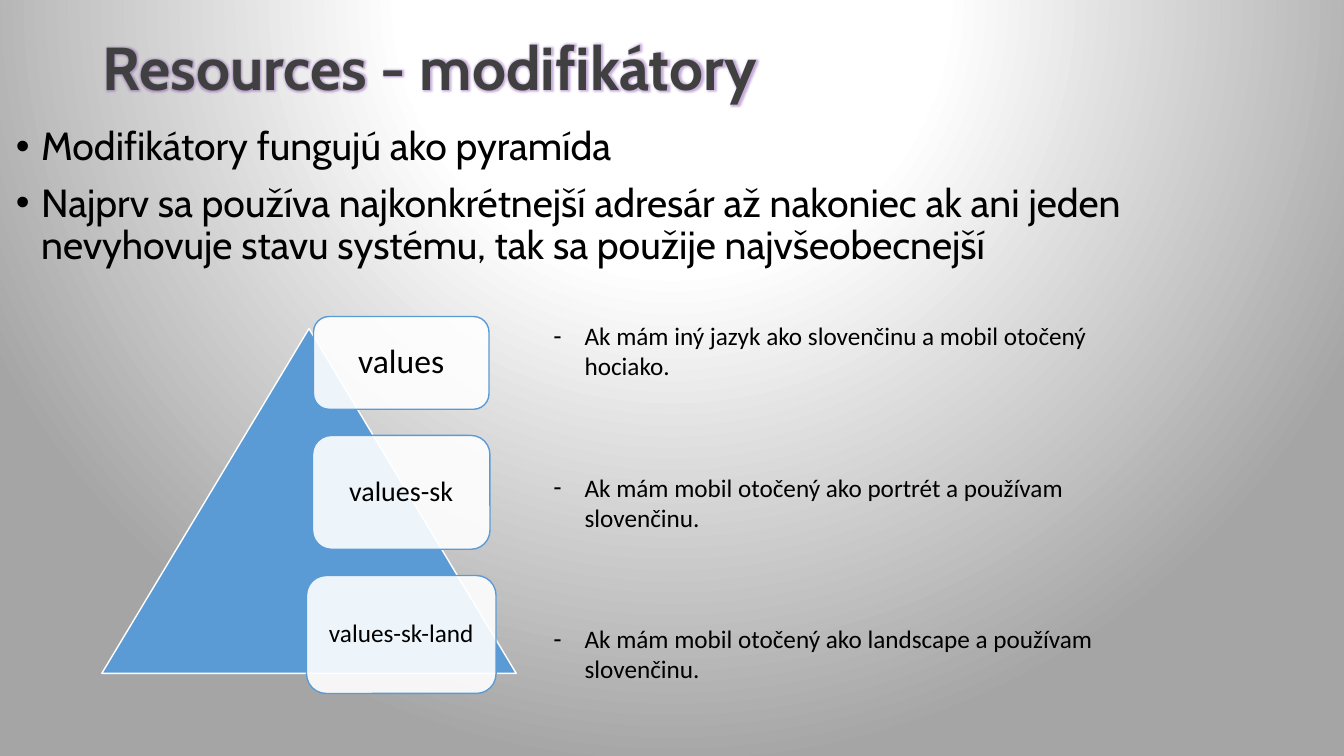
from pptx import Presentation
from pptx.dml.color import RGBColor
from pptx.enum.shapes import MSO_SHAPE
from pptx.enum.text import MSO_ANCHOR, PP_ALIGN
from pptx.oxml import parse_xml
from pptx.oxml.ns import nsdecls, qn
from pptx.util import Inches, Pt

TRIANGLE, ROUNDED = MSO_SHAPE.ISOSCELES_TRIANGLE, MSO_SHAPE.ROUNDED_RECTANGLE
TOP, MIDDLE = MSO_ANCHOR.TOP, MSO_ANCHOR.MIDDLE
LEFT, CENTER = PP_ALIGN.LEFT, PP_ALIGN.CENTER

BLACK = RGBColor(0, 0, 0)
WHITE = RGBColor(255, 255, 255)
DARK = RGBColor(0x40, 0x40, 0x40)
BLUE = RGBColor(0x5B, 0x9B, 0xD5)
GREY = RGBColor(0xA5, 0xA5, 0xA5)
PURPLE = RGBColor(0x70, 0x30, 0xA0)

RULES = [
    "Modifikátory fungujú ako pyramída",
    "Najprv sa používa najkonkrétnejší adresár až nakoniec ak ani jeden "
    "nevyhovuje stavu systému, tak sa použije najvšeobecnejší",
]
LEVELS = [
    ("values", 24, (3.11, 3.14, 1.74, 0.92)),
    ("values-sk", 20, (3.1, 4.32, 1.76, 1.13)),
    ("values-sk-land", 18, (3.04, 5.71, 1.88, 1.17)),
]
NOTES = [
    "Ak mám iný jazyk ako slovenčinu a mobil otočený hociako.",
    "Ak mám mobil otočený ako portrét a používam slovenčinu.",
    "Ak mám mobil otočený ako landscape a používam slovenčinu.",
]


def set_background(s):
    """Fill the slide with a circular gradient from white to grey."""
    stops = "".join(
        f'<a:gs pos="{pos}"><a:srgbClr val="{color}"/></a:gs>'
        for pos, color in ((0, WHITE), (35000, WHITE), (100000, GREY)))
    s._element.cSld.insert(0, parse_xml(
        f'<p:bg {nsdecls("p", "a")}><p:bgPr><a:gradFill rotWithShape="1">'
        f'<a:gsLst>{stops}</a:gsLst><a:path path="circle">'
        '<a:fillToRect l="50000" t="-80000" r="50000" b="180000"/></a:path>'
        '</a:gradFill><a:effectLst/></p:bgPr></p:bg>'))


def add_bullet(p, char, indent):
    """Give a paragraph a hanging bullet."""
    pPr = p._p.get_or_add_pPr()
    pPr.set("marL", str(Inches(indent)))
    pPr.set("indent", str(Inches(-indent)))
    pPr.append(parse_xml(f'<a:buFont {nsdecls("a")} typeface="Arial"/>'))
    pPr.append(parse_xml(f'<a:buChar {nsdecls("a")} char="{char}"/>'))


def add_glow(r, color):
    """Surround a run with a soft glow."""
    r._r.rPr.find(qn("a:solidFill")).addnext(parse_xml(
        f'<a:effectLst {nsdecls("a")}><a:glow rad="{Pt(4)}">'
        f'<a:srgbClr val="{color}"><a:alpha val="40000"/></a:srgbClr>'
        '</a:glow></a:effectLst>'))


def write(tf, texts, size, font="Calibri", color=BLACK, bold=False, align=LEFT,
          anchor=TOP, spacing=1.0, before=0, gap=0, bullet=None, indent=0,
          glow=None):
    """Write formatted paragraphs into a text frame."""
    tf.word_wrap = True
    tf.vertical_anchor = anchor
    for i, text in enumerate(texts):
        p = tf.add_paragraph() if i else tf.paragraphs[0]
        p.alignment = align
        p.line_spacing = spacing
        p.space_before = Pt(gap if i else before)
        if bullet:
            add_bullet(p, bullet, indent)
        r = p.add_run()
        r.text = text
        r.font.name = font
        r.font.size = Pt(size)
        r.font.bold = bold
        r.font.color.rgb = color
        if glow:
            add_glow(r, glow)


def add_text(s, box, texts, size, **fmt):
    """Add a text box with formatted paragraphs."""
    tb = s.shapes.add_textbox(*map(Inches, box))
    write(tb.text_frame, texts, size, **fmt)


def add_figure(s, kind, box, fill, line, opacity=100):
    """Add a preset shape with a thin outline."""
    sp = s.shapes.add_shape(kind, *map(Inches, box))
    sp.shadow.inherit = False
    sp.fill.solid()
    sp.fill.fore_color.rgb = fill
    sp.line.color.rgb = line
    sp.line.width = Pt(1)
    if opacity < 100:
        clr = sp._element.spPr.find(qn("a:solidFill")).find(qn("a:srgbClr"))
        clr.append(parse_xml(
            f'<a:alpha {nsdecls("a")} val="{opacity * 1000}"/>'))
    return sp


def main():
    """Build the slide and save it."""
    prs = Presentation()
    prs.slide_width, prs.slide_height = Inches(13.33), Inches(7.5)
    s = prs.slides.add_slide(prs.slide_layouts[6])
    set_background(s)
    add_text(s, (0.92, 0.4, 11.5, 0.61), ["Resources - modifikátory"], 43.2,
             font="Cabin", color=DARK, bold=True, anchor=MIDDLE, spacing=0.9,
             glow=PURPLE)
    add_text(s, (0.06, 1.21, 13.13, 5.89), RULES, 28, font="Cabin",
             spacing=0.9, before=10, gap=10, bullet="•", indent=0.25)
    add_figure(s, TRIANGLE, (1.01, 3.26, 4.11, 3.42), BLUE, WHITE)
    for name, size, box in LEVELS:
        sp = add_figure(s, ROUNDED, box, WHITE, BLUE, opacity=90)
        write(sp.text_frame, [name], size, align=CENTER, anchor=MIDDLE,
              spacing=0.9)
    add_text(s, (5.39, 3.13, 6.23, 3.74), NOTES, 18, gap=65, bullet="-",
             indent=0.31)
    prs.save("out.pptx")


if __name__ == "__main__":
    main()
